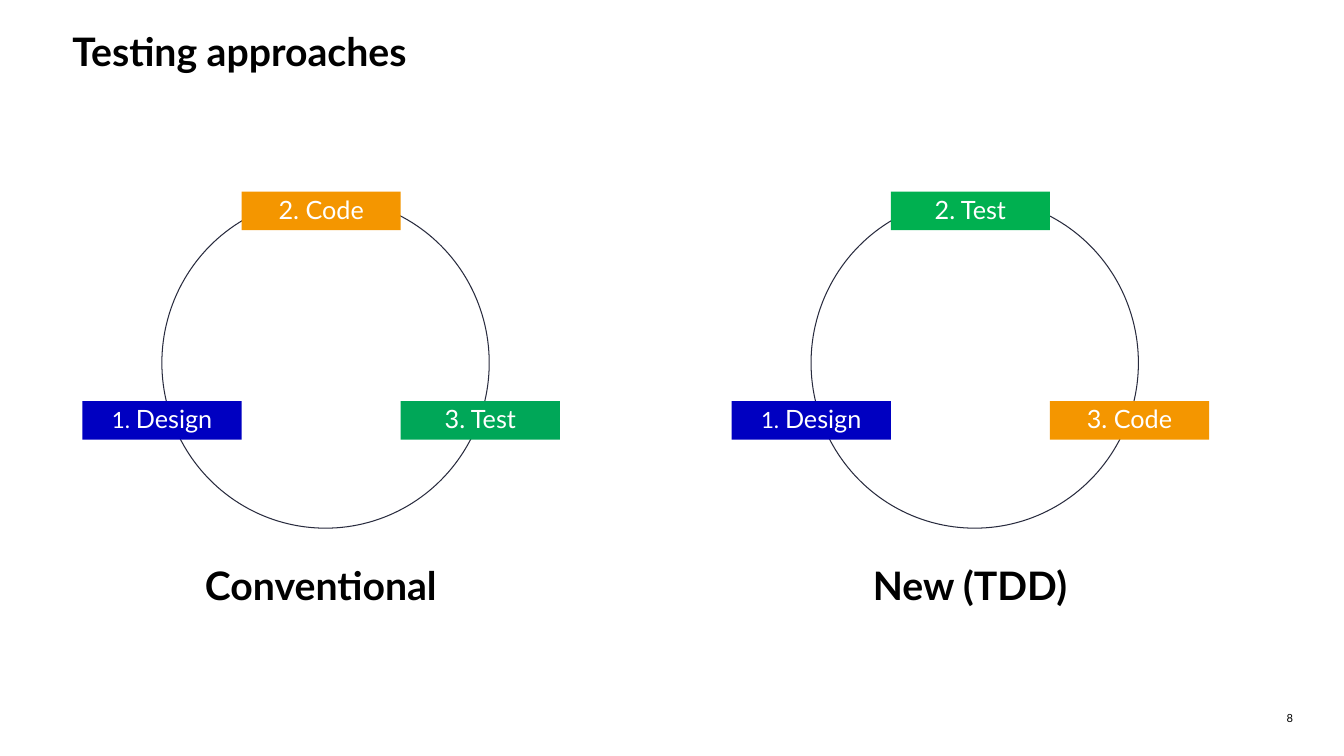
from dataclasses import dataclass

from pptx import Presentation
from pptx.dml.color import RGBColor
from pptx.enum.shapes import MSO_SHAPE
from pptx.enum.text import MSO_ANCHOR, MSO_AUTO_SIZE, PP_ALIGN
from pptx.shapes.autoshape import Shape
from pptx.slide import Slide
from pptx.text.text import _Run as Run
from pptx.util import Cm, Pt

FONT = "Lato"
BLACK, WHITE, OUTLINE = "000000", "FFFFFF", "282B3E"
BLUE, ORANGE, GREEN, BRIGHT_GREEN = "0000C1", "F49600", "00A758", "00B050"

STEP_WIDTH, STEP_HEIGHT = 4.01, 0.97
TOP_ROW, BOTTOM_ROW = 4.83, 10.11
STEP_ROWS = (BOTTOM_ROW, TOP_ROW, BOTTOM_ROW)


@dataclass(frozen=True)
class Step:
    name: str
    color: str
    number_size: int = 18


@dataclass(frozen=True)
class Cycle:
    caption: str
    left: float
    steps: tuple[Step, ...]


DESIGN = Step("Design", BLUE, number_size=16)
CYCLES = (
    Cycle("Conventional", 2.08,
          (DESIGN, Step("Code", ORANGE), Step("Test", GREEN))),
    Cycle("New (TDD)", 18.44,
          (DESIGN, Step("Test", BRIGHT_GREEN), Step("Code", ORANGE))),
)


def rgb(color: str) -> RGBColor:
    return RGBColor.from_string(color)


def format_run(run: Run, size: int, color: str, bold: bool = False) -> None:
    run.font.name = FONT
    run.font.size = Pt(size)
    run.font.bold = bold
    run.font.color.rgb = rgb(color)


def set_heading(shape: Shape, text: str, alignment: PP_ALIGN) -> None:
    frame = shape.text_frame
    frame.text = text
    frame.word_wrap = True
    frame.auto_size = MSO_AUTO_SIZE.NONE
    frame.vertical_anchor = MSO_ANCHOR.TOP
    paragraph = frame.paragraphs[0]
    paragraph.alignment = alignment
    paragraph.space_before = Pt(15)
    format_run(paragraph.runs[0], 28, BLACK, bold=True)


def add_title(slide: Slide, text: str) -> None:
    title = slide.shapes.title
    title.left, title.top = Cm(1.57), Cm(0.56)
    title.width, title.height = Cm(22.68), Cm(2.21)
    set_heading(title, text, PP_ALIGN.LEFT)


def add_step(slide: Slide, step: Step, number: int, left: float, top: float) -> None:
    box = slide.shapes.add_shape(MSO_SHAPE.RECTANGLE, Cm(left), Cm(top),
                                 Cm(STEP_WIDTH), Cm(STEP_HEIGHT))
    box.shadow.inherit = False
    box.fill.solid()
    box.fill.fore_color.rgb = rgb(step.color)
    box.line.fill.background()
    box.text_frame.vertical_anchor = MSO_ANCHOR.MIDDLE
    paragraph = box.text_frame.paragraphs[0]
    paragraph.alignment = PP_ALIGN.CENTER
    paragraph.line_spacing = 0.9
    paragraph.space_after = Pt(10)
    for text, size in ((f"{number}. ", step.number_size), (step.name, 18)):
        run = paragraph.add_run()
        run.text = text
        format_run(run, size, WHITE)


def add_cycle(slide: Slide, cycle: Cycle) -> None:
    """Draw the ring, its numbered steps from left to right, and the caption."""
    ring = slide.shapes.add_shape(MSO_SHAPE.OVAL, Cm(cycle.left + 2), Cm(4.98),
                                  Cm(8.25), Cm(8.33))
    ring.shadow.inherit = False
    ring.fill.background()
    ring.line.color.rgb = rgb(OUTLINE)
    ring.line.width = Pt(0.75)

    for index, (step, top) in enumerate(zip(cycle.steps, STEP_ROWS)):
        add_step(slide, step, index + 1, cycle.left + index * STEP_WIDTH, top)

    caption = slide.shapes.add_textbox(Cm(cycle.left + 1.88), Cm(14.02),
                                       Cm(8.25), Cm(2.21))
    set_heading(caption, cycle.caption, PP_ALIGN.CENTER)


def add_page_number(slide: Slide, number: int) -> None:
    frame = slide.shapes.add_textbox(Cm(31.8), Cm(17.78), Cm(0.79), Cm(0.48)).text_frame
    frame.margin_left = frame.margin_right = 0
    frame.margin_top = frame.margin_bottom = 0
    frame.word_wrap = True
    frame.vertical_anchor = MSO_ANCHOR.BOTTOM
    frame.text = str(number)
    paragraph = frame.paragraphs[0]
    paragraph.alignment = PP_ALIGN.RIGHT
    format_run(paragraph.runs[0], 8, BLACK)


def main() -> None:
    presentation = Presentation()
    presentation.slide_width, presentation.slide_height = Cm(33.87), Cm(19.05)
    title_only = presentation.slide_layouts.get_by_name("Title Only")
    slide = presentation.slides.add_slide(title_only)
    add_title(slide, "Testing approaches")
    for cycle in CYCLES:
        add_cycle(slide, cycle)
    add_page_number(slide, 8)
    presentation.save("out.pptx")


if __name__ == "__main__":
    main()
